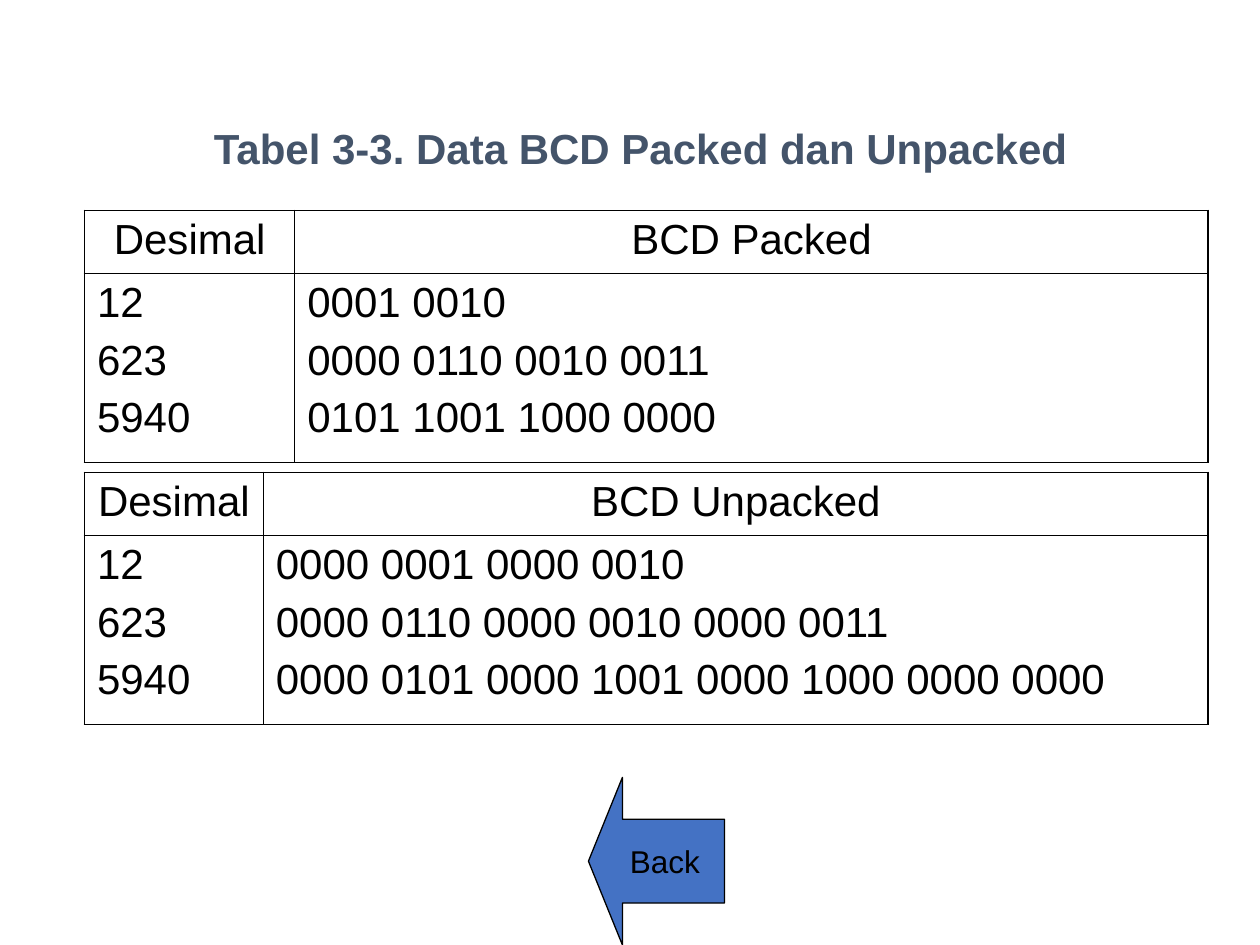
from lxml import etree
from pptx import Presentation
from pptx import util as u
from pptx.dml.color import RGBColor
from pptx.enum import shapes, text
from pptx.oxml.ns import qn

BLACK = "000000"
LEFT = 0.67
THICK, THIN = 1.08, 0.45
DECIMALS = ["12", "623", "5940"]


def set_color(target, color):
    target.rgb = RGBColor.from_string(color)


def set_fill(shape, color):
    shape.fill.solid()
    set_color(shape.fill.fore_color, color)


def write_lines(tf, lines, size, color=BLACK, bold=False,
                align=text.PP_ALIGN.CENTER, before=0):
    for i, line in enumerate(lines):
        p = tf.paragraphs[0] if i == 0 else tf.add_paragraph()
        p.alignment = align
        p.space_before = u.Pt(before)
        r = p.add_run()
        r.text = line
        r.font.name = "Arial"
        r.font.size = u.Pt(size)
        r.font.bold = bold
        set_color(r.font.color, color)


def set_borders(cell, widths):
    tc_pr = cell._tc.get_or_add_tcPr()
    for i, (side, width) in enumerate(widths.items()):
        ln = etree.Element(qn("a:ln" + side), w=str(int(u.Pt(width))))
        fill = etree.SubElement(ln, qn("a:solidFill"))
        etree.SubElement(fill, qn("a:srgbClr"), val=BLACK)
        tc_pr.insert(i, ln)


def add_bcd_table(s, top, widths, heading, codes):
    heights = [0.5, 1.5]
    frame = s.shapes.add_table(2, 2, u.Inches(LEFT), u.Inches(top),
                               u.Inches(sum(widths)), u.Inches(sum(heights)))
    table = frame.table
    table.first_row = table.horz_banding = False
    for column, width in zip(table.columns, widths):
        column.width = u.Inches(width)
    for row, height in zip(table.rows, heights):
        row.height = u.Inches(height)
    contents = [[["Desimal"], [heading]], [DECIMALS, codes]]
    for i, row in enumerate(contents):
        align = text.PP_ALIGN.LEFT if i else text.PP_ALIGN.CENTER
        for j, lines in enumerate(row):
            cell = table.cell(i, j)
            cell.fill.background()
            write_lines(cell.text_frame, lines, 24, align=align, before=6)
            set_borders(cell, {"L": THIN if j else THICK,
                               "R": THICK if j else THIN,
                               "T": THIN if i else THICK,
                               "B": THICK if i else THIN})


def add_title(s, title):
    sp = s.shapes.add_textbox(u.Inches(LEFT), u.Inches(0.92),
                              u.Inches(8.83), u.Inches(0.5))
    tf = sp.text_frame
    tf.word_wrap = True
    tf.vertical_anchor = text.MSO_ANCHOR.MIDDLE
    write_lines(tf, [title], 24, "44546A", bold=True)


def add_back_arrow(s):
    sp = s.shapes.add_shape(shapes.MSO_SHAPE.LEFT_ARROW, u.Inches(4.67),
                            u.Inches(6.17), u.Inches(1.08), u.Inches(1.33))
    sp.adjustments[0] = 0.5
    sp.adjustments[1] = 0.25
    sp.shadow.inherit = False
    set_fill(sp, "4472C4")
    set_color(sp.line.color, BLACK)
    sp.line.width = u.Pt(0.75)
    tf = sp.text_frame
    tf.word_wrap = False
    tf.vertical_anchor = text.MSO_ANCHOR.MIDDLE
    write_lines(tf, ["Back"], 18)


def main():
    prs = Presentation()
    prs.slide_width, prs.slide_height = u.Inches(10), u.Inches(7.5)
    s = prs.slides.add_slide(prs.slide_layouts[6])
    add_bcd_table(s, 1.67, [1.67, 7.25], "BCD Packed",
                  ["0001 0010", "0000 0110 0010 0011", "0101 1001 1000 0000"])
    add_bcd_table(s, 3.75, [1.42, 7.5], "BCD Unpacked",
                  ["0000 0001 0000 0010", "0000 0110 0000 0010 0000 0011",
                   "0000 0101 0000 1001 0000 1000 0000 0000"])
    add_title(s, "Tabel 3-3. Data BCD Packed dan Unpacked")
    add_back_arrow(s)
    prs.save("out.pptx")


if __name__ == "__main__":
    main()
